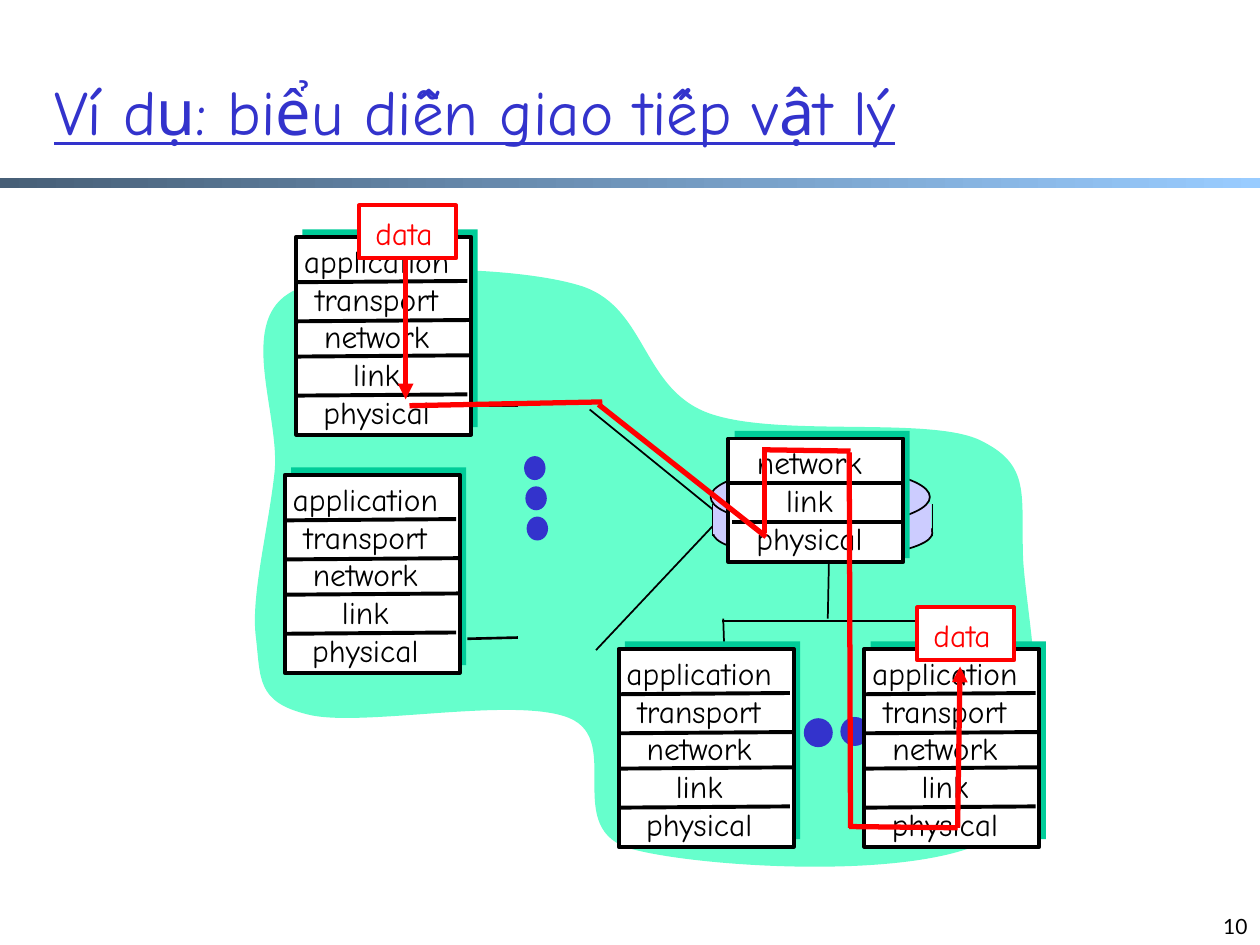
from dataclasses import dataclass

from lxml import etree
from pptx import Presentation
from pptx.dml.color import RGBColor
from pptx.enum.shapes import MSO_CONNECTOR, MSO_SHAPE
from pptx.enum.text import MSO_ANCHOR, MSO_AUTO_SIZE, PP_ALIGN
from pptx.oxml.ns import qn
from pptx.util import Inches, Pt

RECTANGLE, ELLIPSE = MSO_SHAPE.RECTANGLE, MSO_SHAPE.OVAL
STRAIGHT = MSO_CONNECTOR.STRAIGHT
LEFT, CENTER, RIGHT = PP_ALIGN.LEFT, PP_ALIGN.CENTER, PP_ALIGN.RIGHT
TITLE_ONLY = 5

BLACK = RGBColor(0x00, 0x00, 0x00)
WHITE = RGBColor(0xFF, 0xFF, 0xFF)
RED = RGBColor(0xFF, 0x00, 0x00)
BLUE = RGBColor(0x33, 0x33, 0xCC)
MINT = RGBColor(0x66, 0xFF, 0xCC)
GREEN = RGBColor(0x00, 0xCC, 0x99)
LILAC = RGBColor(0xCC, 0xCC, 0xFF)
BAR_DARK = RGBColor(0x47, 0x5F, 0x77)
BAR_LIGHT = RGBColor(0x99, 0xCC, 0xFF)

HAND_FONT, NUMBER_FONT = "Comic Neue", "Lato"
LAYERS = ["application", "transport", "network", "link", "physical"]


@dataclass
class Stack:
    """A pile of protocol layers; dividers are (dx, dy) from its corner."""
    left: float
    top: float
    layers: list
    height: float
    dividers: list
    tilt: float
    text_dx: float
    text_width: float
    right_inset: float
    shadow_height: float


def host(left: float, top: float) -> Stack:
    dividers = [(-0.01, 0.36), (0.01, 0.67), (0.01, 0.95), (-0.01, 1.26)]
    return Stack(left, top, LAYERS, 1.57, dividers, 0.01, -0.04, 1.44, 0.18, 1.57)


HOSTS = [host(2.35, 1.88), host(2.26, 3.77), host(4.91, 5.15), host(6.86, 5.15)]
ROUTER = Stack(5.78, 3.48, LAYERS[2:], 0.98, [(0, 0.35), (0.03, 0.66)], 0,
               0.12, 1.15, 0.2, 1.01)

# Network cloud: start point, then cubic segments (two controls and an end)
CLOUD_START = (4.58, 2.26)
CLOUD_CURVES = [
    ((4.03, 2.1), (2.69, 2.08), (2.29, 2.33)),
    ((1.89, 2.58), (2.22, 3.29), (2.18, 3.74)),
    ((2.13, 4.2), (1.99, 4.73), (2.03, 5.05)),
    ((2.07, 5.38), (2.03, 5.57), (2.44, 5.67)),
    ((2.86, 5.78), (4.09, 5.52), (4.52, 5.7)),
    ((4.95, 5.88), (4.45, 6.59), (5.02, 6.74)),
    ((5.58, 6.89), (7.4, 7), (7.92, 6.62)),
    ((8.44, 6.23), (8.15, 4.96), (8.12, 4.44)),
    ((8.1, 3.92), (8.19, 3.69), (7.77, 3.49)),
    ((7.35, 3.3), (6.13, 3.48), (5.6, 3.27)),
    ((5.08, 3.06), (5.13, 2.41), (4.58, 2.26)),
]

HOST_STUBS = [(3.71, 3.22, 4.11, 3.22), (3.71, 5.07, 4.11, 5.06)]
LINKS = [
    (5.73, 4.93, 7.47, 4.93), (5.74, 4.91, 5.75, 5.21),
    (4.68, 3.25, 5.69, 4.07), (4.73, 5.16, 5.69, 4.14),
    (6.57, 4.91, 6.58, 4.4),
]
# Red data route: line ends, and whether an arrowhead closes it
ROUTE = [
    ((3.22, 2.05, 3.22, 3.17), True),
    ((6.74, 3.59, 6.75, 6.57), False),
    ((6.07, 4.23, 6.07, 3.55), False),
    ((6.06, 3.57, 6.75, 3.58), False),
    ((6.74, 6.56, 7.6, 6.57), False),
    ((7.6, 6.57, 7.62, 5.29), True),
    ((3.25, 3.22, 4.78, 3.19), False),
    ((4.75, 3.21, 6.08, 4.26), False),
]
DATA_TAGS = [(7.28, 4.82), (2.85, 1.63)]


def add_span(para, text: str, size: float, color: RGBColor, font: str = HAND_FONT):
    span = para.add_run()
    span.text = text
    span.font.size, span.font.name = Pt(size), font
    span.font.color.rgb = color
    return span


def add_block(shapes, kind, left: float, top: float, width: float, height: float,
              fill: RGBColor, line: RGBColor | None = None, weight: float = 1):
    block = shapes.add_shape(kind, Inches(left), Inches(top),
                             Inches(width), Inches(height))
    block.shadow.inherit = False
    block.fill.solid()
    block.fill.fore_color.rgb = fill
    if line is None:
        block.line.fill.background()
    else:
        block.line.color.rgb = line
        block.line.width = Pt(weight)
    return block


def add_line(shapes, ends: tuple, color: RGBColor, weight: float,
             arrow: bool = False) -> None:
    line = shapes.add_connector(STRAIGHT, *(Inches(value) for value in ends))
    line.line.color.rgb = color
    line.line.width = Pt(weight)
    properties = line._element.spPr
    if arrow:
        etree.SubElement(properties.find(qn("a:ln")), qn("a:tailEnd"), type="triangle")
    etree.SubElement(properties, qn("a:effectLst"))


def add_label(shapes, left: float, top: float, width: float, height: float,
              texts: list, align, color: RGBColor, right_inset: float = 0.1) -> None:
    box = shapes.add_textbox(Inches(left), Inches(top), Inches(width), Inches(height))
    frame = box.text_frame
    frame.word_wrap = False
    frame.auto_size = MSO_AUTO_SIZE.SHAPE_TO_FIT_TEXT
    frame.margin_right = Inches(right_inset)
    for index, text in enumerate(texts):
        para = frame.add_paragraph() if index else frame.paragraphs[0]
        para.alignment = align
        add_span(para, text, 18, color)


def add_cloud(shapes) -> None:
    points = [tuple(Inches(value) for value in point)
              for curve in CLOUD_CURVES for point in curve]
    builder = shapes.build_freeform(*(Inches(value) for value in CLOUD_START))
    builder.add_line_segments(points, close=True)
    cloud = builder.convert_to_shape()
    cloud.shadow.inherit = False
    cloud.fill.solid()
    cloud.fill.fore_color.rgb = MINT
    cloud.line.fill.background()
    # Turn each three straight segments into one cubic curve
    segments = list(cloud._element.iter(qn("a:lnTo")))
    for index in range(0, 3 * len(CLOUD_CURVES), 3):
        first, second, end = segments[index:index + 3]
        first.addprevious(curve := etree.Element(qn("a:cubicBezTo")))
        for segment in (first, second, end):
            curve.append(segment[0])
            segment.getparent().remove(segment)


def add_network(shapes) -> None:
    add_cloud(shapes)
    for ends in HOST_STUBS:
        add_line(shapes, ends, BLACK, 1.5)
    for index in range(3):
        add_block(shapes, ELLIPSE, 4.16 + 0.01 * index, 3.62 + 0.24 * index,
                  0.17, 0.19, BLUE)
    for left, top in ((6.38, 5.7), (6.67, 5.69)):
        add_block(shapes, ELLIPSE, left, top, 0.23, 0.23, BLUE).rotation = 270
    for ends in LINKS:
        add_line(shapes, ends, BLACK, 1)
    # Router drum
    add_block(shapes, ELLIPSE, 5.66, 4.03, 1.74, 0.4, LILAC, BLACK)
    for x in (5.66, 7.4):
        add_line(shapes, (x, 4, x, 4.25), BLACK, 1)
    add_block(shapes, RECTANGLE, 5.66, 4, 1.73, 0.24, LILAC)
    add_block(shapes, ELLIPSE, 5.64, 3.71, 1.74, 0.47, LILAC, BLACK)


def add_stack(shapes, stack: Stack) -> None:
    left, top = stack.left, stack.top
    add_block(shapes, RECTANGLE, left + 0.05, top - 0.06, 1.39,
              stack.shadow_height, GREEN)
    add_block(shapes, RECTANGLE, left, top, 1.39, stack.height, WHITE, BLACK, 2.25)
    add_label(shapes, left + stack.text_dx, top - 0.01, stack.text_width,
              0.3 * len(stack.layers) + 0.1, stack.layers, CENTER, BLACK,
              stack.right_inset)
    for dx, dy in stack.dividers:
        x, y = left + dx, top + dy
        add_line(shapes, (x, y, x + 1.37, y - stack.tilt), BLACK, 2.25)


def main() -> None:
    deck = Presentation()
    deck.slide_width, deck.slide_height = Inches(10), Inches(7.5)
    page = deck.slides.add_slide(deck.slide_layouts[TITLE_ONLY])
    shapes = page.shapes

    # Title and gradient bar
    title = shapes.title
    title.left, title.top = Inches(0.33), Inches(0.25)
    title.width, title.height = Inches(9.17), Inches(1.25)
    title.text_frame.auto_size = MSO_AUTO_SIZE.NONE
    title.text_frame.vertical_anchor = MSO_ANCHOR.MIDDLE
    para = title.text_frame.paragraphs[0]
    para.alignment = LEFT
    add_span(para, "Ví dụ: biểu diễn giao tiếp vật lý", 36, BLUE).font.underline = True
    bar = add_block(shapes, RECTANGLE, 0, 1.41, 10, 0.08, BAR_LIGHT)
    bar.fill.gradient()
    bar.fill.gradient_angle = 0
    for stop, color in zip(bar.fill.gradient_stops, (BAR_DARK, BAR_LIGHT)):
        stop.color.rgb = color

    # Slide number
    number = shapes.add_textbox(Inches(7.67), Inches(7), Inches(2.33), Inches(0.5))
    number.text_frame.word_wrap = True
    number.text_frame.vertical_anchor = MSO_ANCHOR.BOTTOM
    para = number.text_frame.paragraphs[0]
    para.alignment = RIGHT
    add_span(para, "10", 12, BLACK, NUMBER_FONT)

    # Network, protocol stacks, data route and its two ends
    add_network(shapes.add_group_shape().shapes)
    for stack in [*HOSTS, ROUTER]:
        add_stack(shapes.add_group_shape().shapes, stack)
    for ends, arrow in ROUTE:
        add_line(shapes, ends, RED, 3, arrow)
    for left, top in DATA_TAGS:
        tag = shapes.add_group_shape().shapes
        add_block(tag, RECTANGLE, left, top, 0.77, 0.42, WHITE, RED, 2.25)
        add_label(tag, left + 0.03, top + 0.02, 0.72, 0.4, ["data"], LEFT, RED)

    deck.save("out.pptx")


if __name__ == "__main__":
    main()
